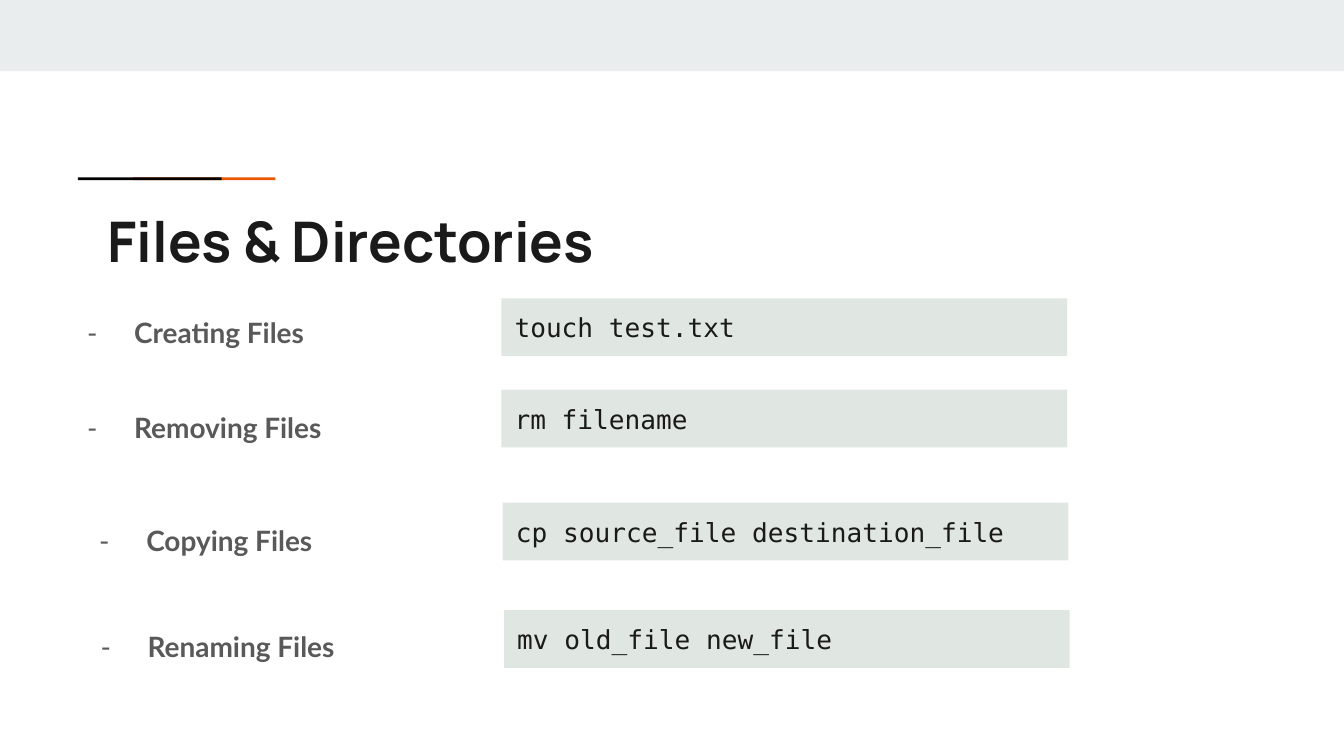
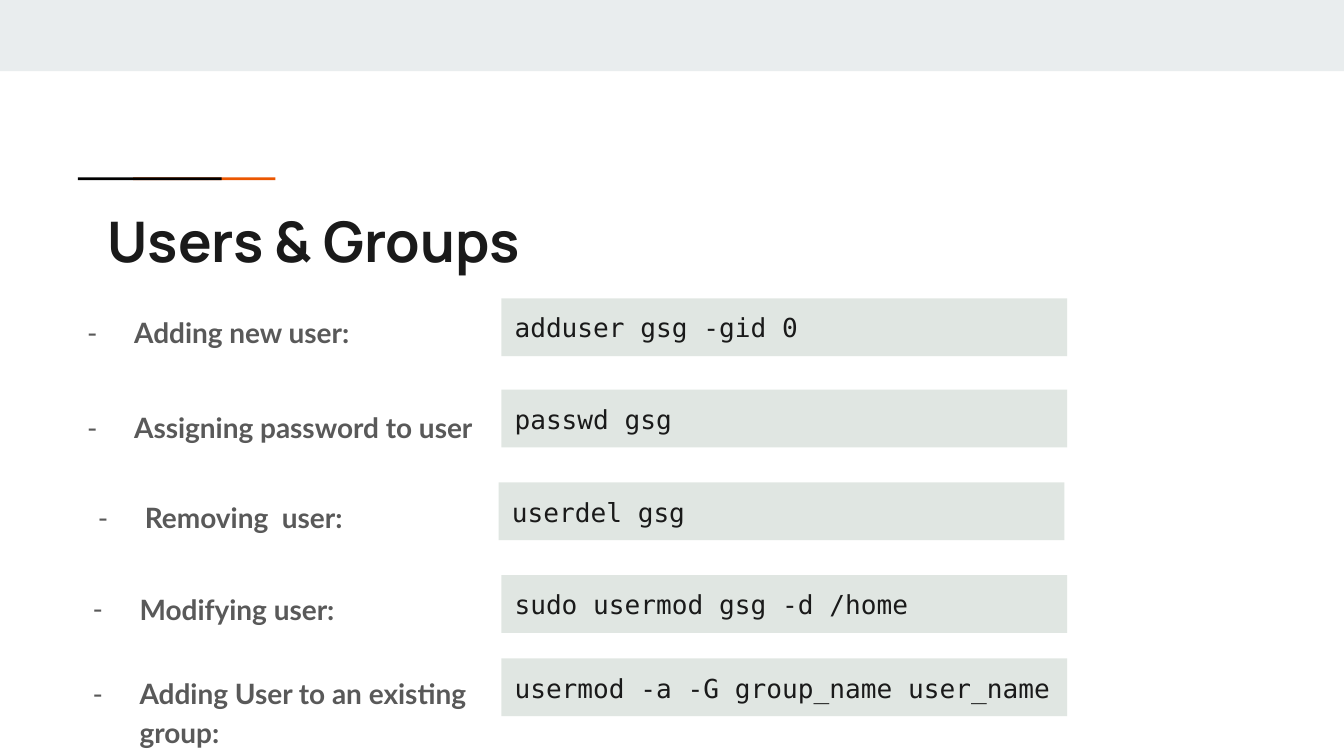
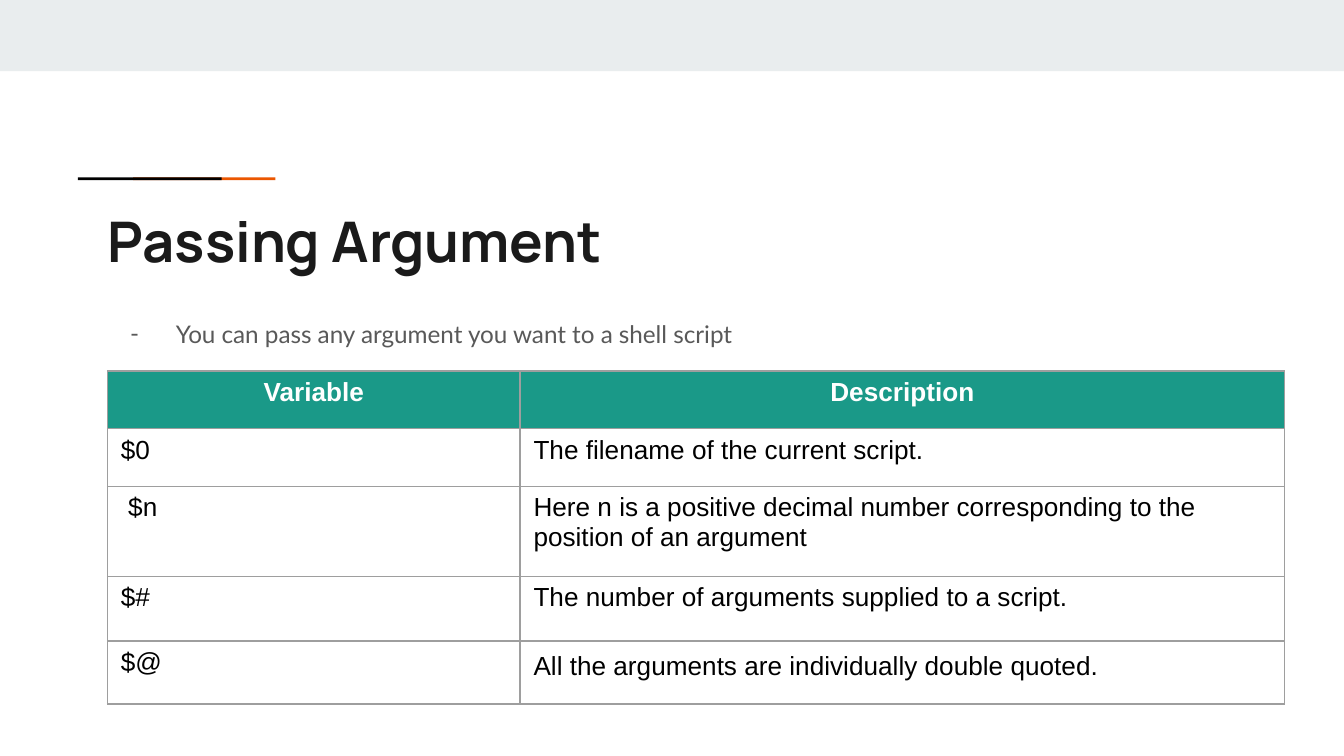
import pptx
import pptx.dml.color
import pptx.enum.shapes
import pptx.enum.text
import pptx.oxml
import pptx.oxml.ns
import pptx.util

Inches = pptx.util.Inches
LEFT = pptx.enum.text.PP_ALIGN.LEFT
CENTER = pptx.enum.text.PP_ALIGN.CENTER
TOP = pptx.enum.text.MSO_ANCHOR.TOP
FIT_SHAPE = pptx.enum.text.MSO_AUTO_SIZE.SHAPE_TO_FIT_TEXT

COLORS = {
    "band": "E9EDEE",
    "accent": "EB5600",
    "black": "000000",
    "ink": "1A1A1A",
    "label": "595959",
    "code": "255235",
    "header": "1A9988",
    "border": "9E9E9E",
    "white": "FFFFFF",
}
COMMAND_SIZE = (4.21, 0.43)

FILE_COMMANDS = [
    ("Creating Files", (0.4, 2.21, 3.44, 0.49), "touch test.txt", (3.73, 2.22)),
    ("Removing Files", (0.4, 2.92, 3.26, 0.49), "rm filename", (3.73, 2.9)),
    ("Copying Files", (0.49, 3.76, 3.26, 0.49),
     "cp source_file destination_file", (3.74, 3.74)),
    ("Renaming Files", (0.5, 4.55, 3.26, 0.49), "mv old_file new_file", (3.75, 4.54)),
]
USER_COMMANDS = [
    ("Adding new user:", (0.4, 2.21, 2.75, 0.49), "adduser gsg -gid 0", (3.73, 2.22)),
    ("Assigning password to user", (0.4, 2.92, 3.26, 0.49), "passwd gsg", (3.73, 2.9)),
    ("Removing  user:", (0.48, 3.59, 2.75, 0.49), "userdel gsg", (3.71, 3.59)),
    ("Modifying user:", (0.44, 4.27, 3.18, 0.49),
     "sudo usermod gsg -d /home", (3.73, 4.28)),
    ("Adding User to an existing group:", (0.44, 4.9, 3.18, 0.77),
     "usermod -a -G group_name user_name", (3.73, 4.9)),
]
ARGUMENTS = [
    ("Variable", "Description"),
    ("$0", "The filename of the current script."),
    (" $n", "Here n is a positive decimal number corresponding to the position of an argument"),
    ("$#", "The number of arguments supplied to a script."),
    ("$@", "All the arguments are individually double quoted."),
]


def rgb(name):
    """Return the named colour."""
    return pptx.dml.color.RGBColor.from_string(COLORS[name])


def child(parent, xml):
    """Append an element written in the drawing namespace."""
    tag, rest = xml.split(" ", 1)
    namespace = pptx.oxml.ns.nsdecls("a")
    parent.append(pptx.oxml.parse_xml(f"<a:{tag} {namespace} {rest}"))


def style(paragraph, font, size, color, bold=False, align=LEFT):
    """Format a whole paragraph."""
    paragraph.alignment = align
    paragraph.font.name = font
    paragraph.font.size = pptx.util.Pt(size)
    paragraph.font.bold = bold
    paragraph.font.color.rgb = rgb(color)


def set_frame(frame, text, side=0.1):
    """Fill a text frame and return its paragraph."""
    frame.word_wrap = True
    frame.vertical_anchor = TOP
    frame.margin_left = frame.margin_right = Inches(side)
    frame.margin_top = frame.margin_bottom = Inches(0.1)
    frame.text = text
    return frame.paragraphs[0]


def add_block(slide, box, color):
    """Add a plain filled rectangle."""
    block = slide.shapes.add_shape(
        pptx.enum.shapes.MSO_SHAPE.RECTANGLE, *map(Inches, box))
    block.shadow.inherit = False
    block.fill.solid()
    block.fill.fore_color.rgb = rgb(color)
    block.line.fill.background()
    return block


def add_titled_slide(deck, heading):
    """Add a slide with the shared band, rule and title."""
    slide = deck.slides.add_slide(deck.slide_layouts.get_by_name("Title Only"))
    add_block(slide, (0, 0, 10, 0.53), "band")
    add_block(slide, (0.99, 1.32, 1.06, 0.02), "accent")
    add_block(slide, (0.58, 1.32, 1.07, 0.02), "black")
    title = slide.shapes.title
    title.left, title.top, title.width, title.height = map(Inches, (0.8, 1.44, 8.41, 0.59))
    paragraph = set_frame(title.text_frame, heading, side=0)
    title.text_frame.auto_size = pptx.enum.text.MSO_AUTO_SIZE.NONE
    style(paragraph, "Manrope", 30, "ink", bold=True)
    return slide


def add_label(slide, box, text, size=15, bold=True, hanging=0.35):
    """Add a dashed list item."""
    label = slide.shapes.add_textbox(*map(Inches, box))
    paragraph = set_frame(label.text_frame, text)
    label.text_frame.auto_size = FIT_SHAPE
    paragraph.line_spacing = 1.15
    properties = paragraph._p.get_or_add_pPr()
    properties.set("marL", str(Inches(0.5)))
    properties.set("indent", str(-Inches(hanging)))
    child(properties, f'buClr ><a:srgbClr val="{COLORS["label"]}"/></a:buClr>')
    child(properties, 'buFont typeface="Lato"/>')
    child(properties, 'buChar char="-"/>')
    style(paragraph, "Lato", size, "label", bold)


def add_command(slide, corner, text):
    """Add a shell command on a translucent panel."""
    panel = add_block(slide, corner + COMMAND_SIZE, "code")
    tint = panel._element.spPr.find(".//" + pptx.oxml.ns.qn("a:srgbClr"))
    child(tint, 'alpha val="14000"/>')
    paragraph = set_frame(panel.text_frame, text)
    panel.text_frame.auto_size = FIT_SHAPE
    style(paragraph, "DejaVu Sans Mono", 14, "ink")


def add_command_slide(deck, heading, commands):
    """Add a slide of labels beside their commands."""
    slide = add_titled_slide(deck, heading)
    for label, label_box, command, corner in commands:
        add_command(slide, corner, command)
        add_label(slide, label_box, label)


def set_cell(cell, text, is_header):
    """Fill, border and format one table cell."""
    cell.text = text
    cell.margin_left = cell.margin_right = Inches(0.1)
    cell.margin_top = cell.margin_bottom = Inches(0.05)
    cell.vertical_anchor = TOP
    properties = cell._tc.get_or_add_tcPr()
    for side in "LRTB":
        child(properties, f'ln{side} w="{pptx.util.Pt(0.75)}"><a:solidFill>'
              f'<a:srgbClr val="{COLORS["border"]}"/></a:solidFill></a:ln{side}>')
    paragraph = cell.text_frame.paragraphs[0]
    if is_header:
        cell.fill.solid()
        cell.fill.fore_color.rgb = rgb("header")
        style(paragraph, "Arial", 14, "white", bold=True, align=CENTER)
    else:
        cell.fill.background()
        style(paragraph, "Arial", 14, "black")


def add_argument_table(slide, box):
    """Add the table of shell script variables."""
    table = slide.shapes.add_table(len(ARGUMENTS), 2, *map(Inches, box)).table
    table.horz_banding = False
    for column, width in zip(table.columns, (3.07, 5.69)):
        column.width = Inches(width)
    for row, height in zip(table.rows, (0.43, 0.43, 0.67, 0.48, 0.47)):
        row.height = Inches(height)
    for row_index, texts in enumerate(ARGUMENTS):
        for column_index, text in enumerate(texts):
            set_cell(table.cell(row_index, column_index), text, row_index == 0)
    last_description = table.cell(len(ARGUMENTS) - 1, 1)
    last_description.text_frame.paragraphs[0].line_spacing = 1.15


def add_argument_slide(deck):
    """Add the slide about script arguments."""
    slide = add_titled_slide(deck, "Passing Argument")
    add_label(slide, (0.71, 2.24, 7.52, 0.45),
              "You can pass any argument you want to a shell script",
              size=13, bold=False, hanging=0.34)
    add_argument_table(slide, (0.8, 2.76, 8.76, 2.48))


def main():
    """Build and save the presentation."""
    deck = pptx.Presentation()
    deck.slide_width = Inches(10)
    deck.slide_height = deck.slide_width * 9 // 16
    add_command_slide(deck, "Files & Directories", FILE_COMMANDS)
    add_command_slide(deck, "Users & Groups", USER_COMMANDS)
    add_argument_slide(deck)
    deck.save("out.pptx")


if __name__ == "__main__":
    main()
